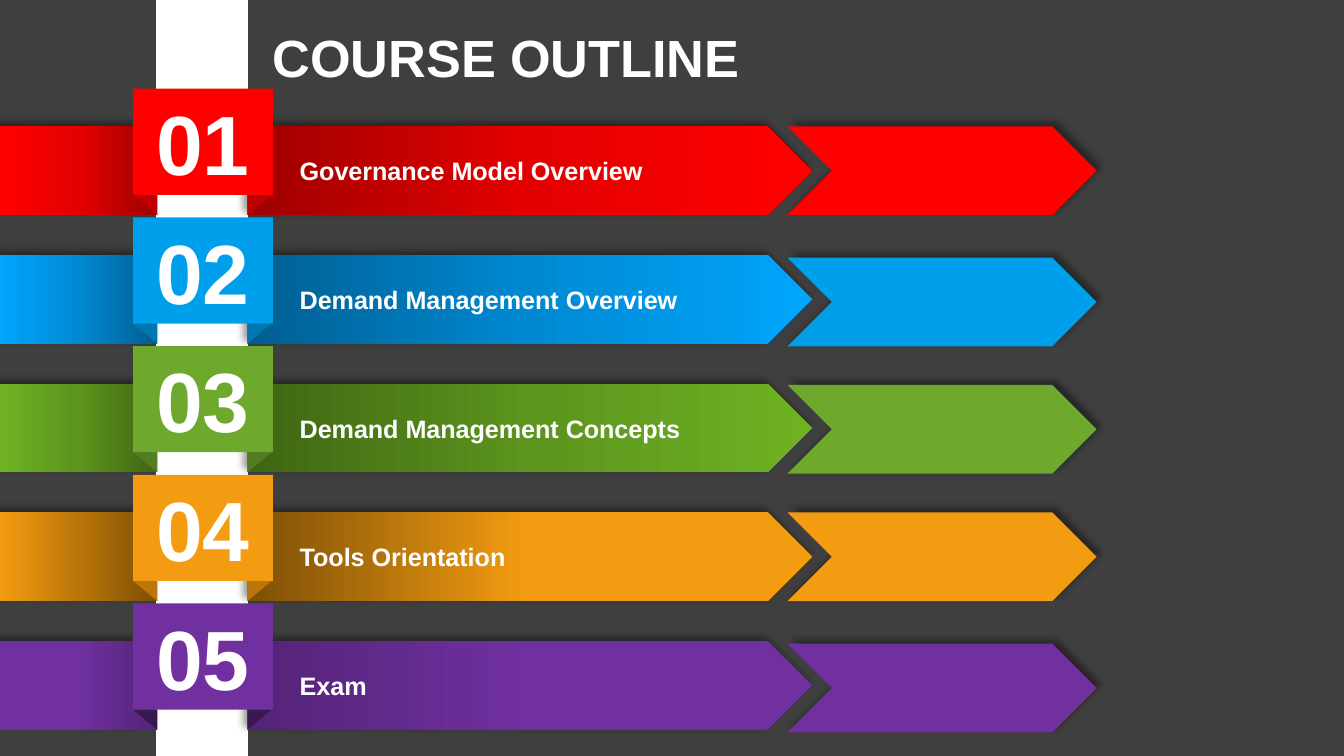
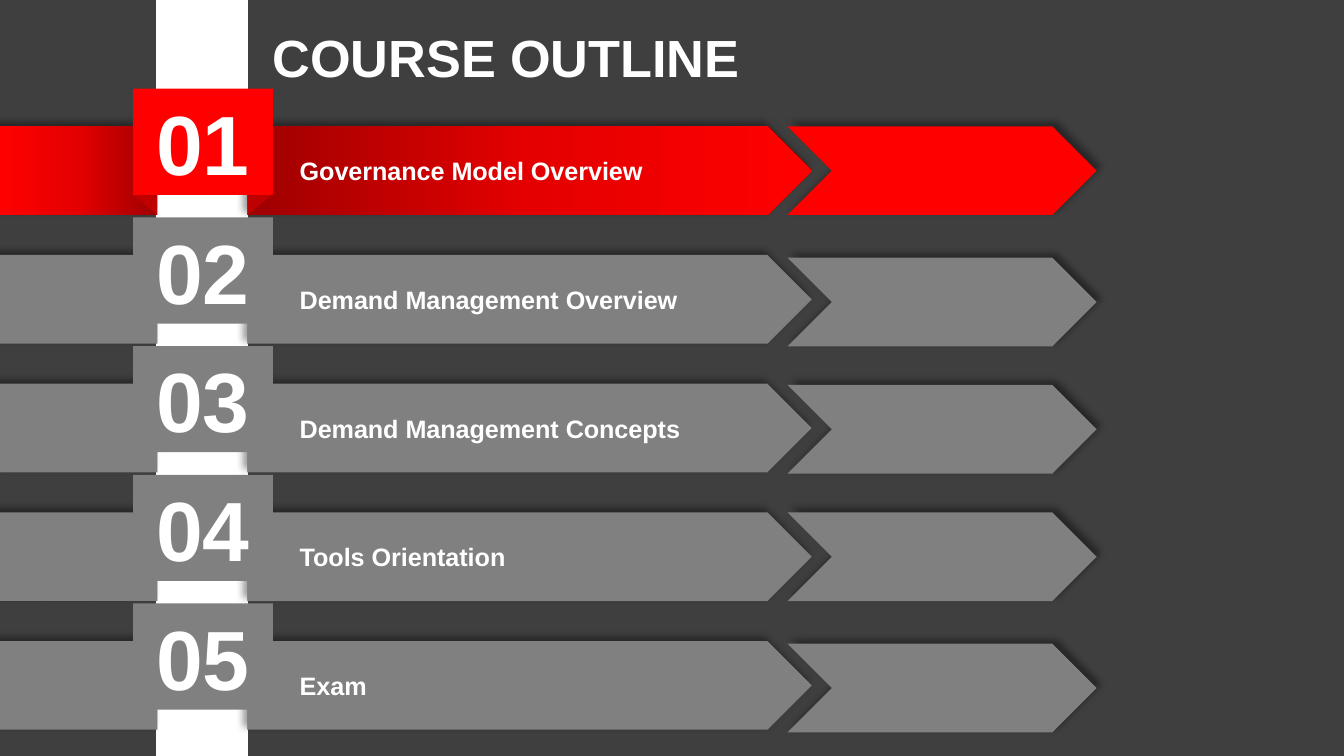
import pptx
import pptx.util
import pptx.dml.color
import pptx.enum.shapes
import pptx.enum.text
import pptx.oxml.ns
import lxml.etree

TITLE = "COURSE OUTLINE"
TOPICS = [
    {"text": "Governance Model Overview", "hue": "red", "chevron_drop": 0},
    {"text": "Demand Management Overview", "hue": "blue", "chevron_drop": 0.02},
    {"text": "Demand Management Concepts", "hue": "green", "chevron_drop": 0.01},
    {"text": "Tools Orientation", "hue": "orange", "chevron_drop": 0},
    {"text": "Exam", "hue": "purple", "chevron_drop": 0.02},
]
SLIDES = [{0, 1, 2, 3, 4}, {0}]

COLORS = {"back": "3F3F3F", "white": "FFFFFF", "shadow": "000000"}
HUES = {
    "red": {"main": "FF0000", "fold": "BF0000",
            "plate": ["9E0000", "E40000", "FF0000"], "tail": ["9E0000", "E40000", "FF0000"]},
    "blue": {"main": "009FEB", "fold": "0077B0",
             "plate": ["005E91", "0089D2", "00A5FC"], "tail": ["005E91", "0089D2", "00A5FC"]},
    "green": {"main": "6EA92D", "fold": "527E21",
              "plate": ["3F6614", "5C941D", "6EB223"], "tail": ["3F6614", "5C941D", "6EB223"]},
    "orange": {"main": "F39C11", "fold": "BA7609",
               "plate": ["7C4F06", "F39C11", "F39C11"], "tail": ["7C4F06", "BA7609", "F39C11"]},
    "purple": {"main": "7030A0", "fold": "381850",
               "plate": ["542478", "7030A0", "7030A0"], "tail": ["542478", "7030A0", "7030A0"]},
    "grey": {"main": "808080", "fold": "808080", "plate": ["808080"], "tail": ["808080"]},
}

FONT = "Arial"
WIDTH, HEIGHT = 10, 10 * 9 / 16
POLE_LEFT, POLE_RIGHT = 1.17, 1.84
FIRST_TOP, LAST_TOP = 0.94, 4.77
PITCH = (LAST_TOP - FIRST_TOP) / (len(TOPICS) - 1)
BAR_HEIGHT, PLATE_WIDTH = 0.66, 4.2
CHEVRON_LEFT, CHEVRON_WIDTH = 5.86, 2.3
FOLD_WIDTH, FOLD_HEIGHT = 0.18, 0.15
TAG_RISE, TAG_HEIGHT = 0.28, 0.79
TAG_LEFT = POLE_LEFT - FOLD_WIDTH
TAG_WIDTH = POLE_RIGHT + FOLD_WIDTH - TAG_LEFT + 0.01

Inches = pptx.util.Inches
Shape = pptx.enum.shapes.MSO_SHAPE
Align = pptx.enum.text.PP_ALIGN


def rgb(value):
    return pptx.dml.color.RGBColor.from_string(value)


def add_node(parent, tag, **attributes):
    node = lxml.etree.SubElement(parent, pptx.oxml.ns.qn(tag))
    for name, value in attributes.items():
        node.set(name, str(value))
    return node


def set_gradient(shape, stops, angle):
    shape.fill.gradient()
    gradient = shape._element.spPr.find(pptx.oxml.ns.qn("a:gradFill"))
    for child in list(gradient):
        gradient.remove(child)
    stop_list = add_node(gradient, "a:gsLst")
    for index, color in enumerate(stops):
        stop = add_node(stop_list, "a:gs", pos=index * 100000 // (len(stops) - 1))
        add_node(stop, "a:srgbClr", val=color)
    add_node(gradient, "a:lin", ang=angle * 60000, scaled=0)


def set_shadow(shape, angle):
    effects = shape._element.spPr.find(pptx.oxml.ns.qn("a:effectLst"))
    shadow = add_node(effects, "a:outerShdw", blurRad=pptx.util.Pt(4), dist=pptx.util.Pt(3),
                      dir=angle * 60000, algn="ctr", rotWithShape=0)
    color = add_node(shadow, "a:srgbClr", val=COLORS["shadow"])
    add_node(color, "a:alpha", val=40000)


def add_block(parent, kind, box, stops, angle=0, shadow=None):
    shape = parent.shapes.add_shape(kind, *map(Inches, box))
    shape.shadow.inherit = False
    if len(stops) > 1:
        set_gradient(shape, stops, angle)
    else:
        shape.fill.solid()
        shape.fill.fore_color.rgb = rgb(stops[0])
    shape.line.fill.background()
    if shadow is not None:
        set_shadow(shape, shadow)
    return shape


def write(shape, text, size, align, insets, anchor):
    frame = shape.text_frame
    frame.word_wrap = True
    frame.vertical_anchor = anchor
    frame.margin_left = frame.margin_right = Inches(insets[0])
    frame.margin_top = frame.margin_bottom = Inches(insets[1])
    para = frame.paragraphs[0]
    para.alignment = align
    span = para.add_run()
    span.text = text
    span.font.name = FONT
    span.font.size = pptx.util.Pt(size)
    span.font.bold = True
    span.font.color.rgb = rgb(COLORS["white"])
    return para


def add_topic(page, index, topic, hue):
    top = FIRST_TOP + index * PITCH
    middle = pptx.enum.text.MSO_ANCHOR.MIDDLE
    insets = (0.07, 0.04)
    group = page.shapes.add_group_shape()

    plate = add_block(group, Shape.PENTAGON, (POLE_RIGHT, top, PLATE_WIDTH, BAR_HEIGHT),
                      hue["plate"], 0, 225)
    plate.adjustments[0] = 0.5
    para = write(plate, topic["text"], 13.5, Align.LEFT, insets, middle)
    properties = para._p.get_or_add_pPr()
    properties.set("marL", str(Inches(0.32)))
    properties.set("indent", "0")

    add_block(group, Shape.RECTANGLE, (0, top, POLE_LEFT, BAR_HEIGHT), hue["tail"], 180, 225)

    fold_top = top + BAR_HEIGHT - FOLD_HEIGHT
    for left, flipped in ((POLE_RIGHT, True), (TAG_LEFT, False)):
        fold = add_block(group, Shape.RIGHT_TRIANGLE,
                         (left, fold_top, FOLD_WIDTH, FOLD_HEIGHT), [hue["fold"]])
        fold.rotation = 180
        if flipped:
            fold._element.spPr.find(pptx.oxml.ns.qn("a:xfrm")).set("flipH", "1")

    tag = add_block(group, Shape.RECTANGLE, (TAG_LEFT, top - TAG_RISE, TAG_WIDTH, TAG_HEIGHT),
                    [hue["main"]])
    write(tag, f"{index + 1:02d}", 45, Align.CENTER, insets, middle)

    chevron = add_block(page, Shape.CHEVRON,
                        (CHEVRON_LEFT, top + topic["chevron_drop"], CHEVRON_WIDTH, BAR_HEIGHT),
                        [hue["main"]], 0, 315)
    chevron.adjustments[0] = 0.5


def add_outline(deck, active):
    page = deck.slides.add_slide(deck.slide_layouts[6])
    page.background.fill.solid()
    page.background.fill.fore_color.rgb = rgb(COLORS["back"])

    pole = add_block(page, Shape.RECTANGLE, (POLE_LEFT, 0, POLE_RIGHT - POLE_LEFT, HEIGHT),
                     [COLORS["white"]])
    pole.line.color.rgb = rgb(COLORS["white"])
    pole.line.width = pptx.util.Pt(1)

    for index, topic in enumerate(TOPICS):
        add_topic(page, index, topic, HUES[topic["hue"] if index in active else "grey"])

    title = page.shapes.add_textbox(*map(Inches, (1.93, 0.09, 9.32, 0.63)))
    write(title, TITLE, 28, Align.LEFT, (0.1, 0.1), pptx.enum.text.MSO_ANCHOR.TOP)


def main():
    deck = pptx.Presentation()
    deck.slide_width = Inches(WIDTH)
    deck.slide_height = Inches(HEIGHT)
    for active in SLIDES:
        add_outline(deck, active)
    deck.save("out.pptx")


if __name__ == "__main__":
    main()
